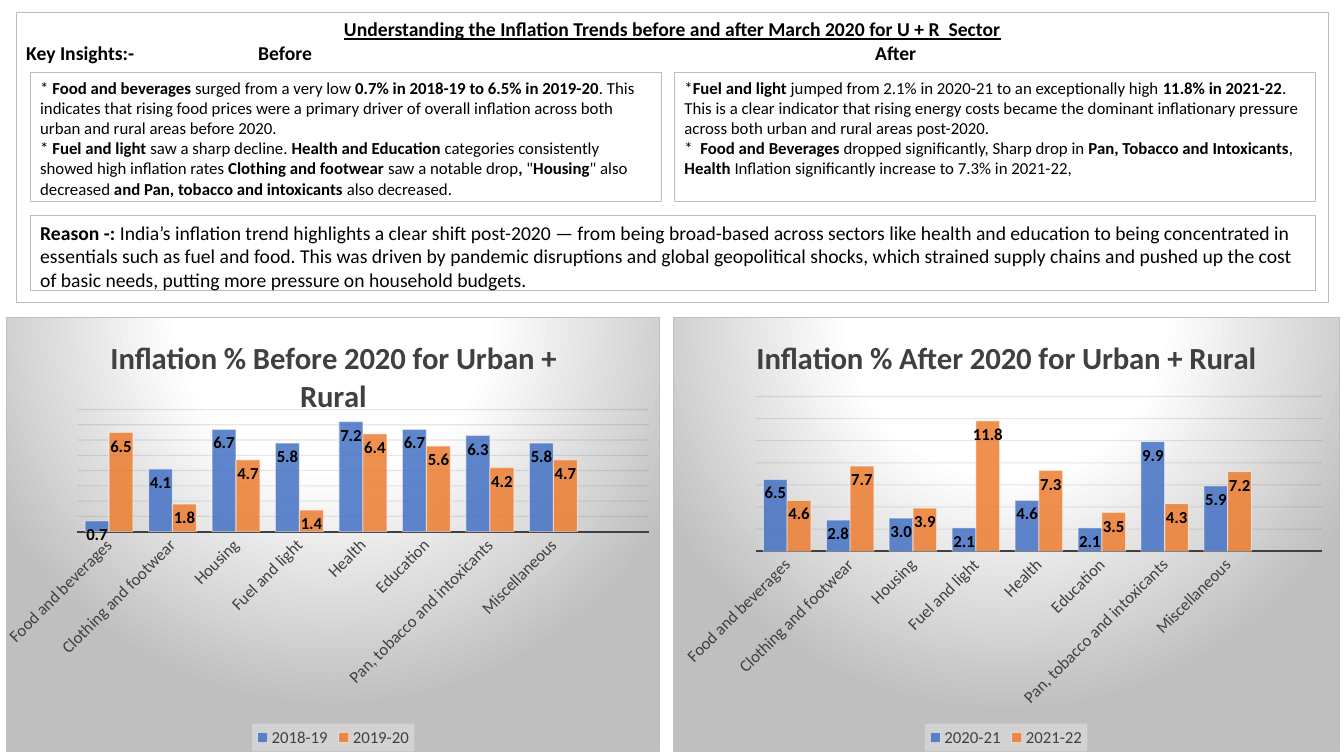
from lxml import etree
from pptx import Presentation
from pptx.chart.data import CategoryChartData
from pptx.dml.color import RGBColor
from pptx.enum.chart import XL_CHART_TYPE as CT, XL_LABEL_POSITION as LabelPos
from pptx.enum.chart import XL_LEGEND_POSITION as LegendPos, XL_TICK_MARK as Tick
from pptx.enum.shapes import MSO_SHAPE as Shape
from pptx.enum.text import MSO_ANCHOR as Anchor, MSO_AUTO_SIZE as AutoSize, PP_ALIGN as Align
from pptx.oxml import parse_xml
from pptx.oxml.ns import qn, nsdecls
from pptx.util import Inches, Pt

FONT = "Calibri"
COLORS = {"text": "000000", "white": "FFFFFF", "border": "BDBDBD", "dark": "404040",
          "grid": "0D0D0D", "first": "4472C4", "second": "ED7D31", "shade": "BFBFBF",
          "legend": "F2F2F2"}

# Content: text between bars is bold
TITLE = "Understanding the Inflation Trends before and after March 2020 for U + R  Sector"
LABELS = "Key Insights:-\tBefore\tAfter"
LABEL_TABS = (2.3, 8.42)
FRAME = (0.16, 0.12, 13.02, 2.88)
BOXES = [
    ((0.3, 0.72, 6.26, 1.28), 12, [
        "* |Food and beverages| surged from a very low |0.7% in 2018-19 to 6.5% in 2019-20|. "
        "This indicates that rising food prices were a primary driver of overall inflation "
        "across both urban and rural areas before 2020.",
        "* |Fuel and light |saw a sharp decline. |Health and Education |categories consistently "
        "showed high inflation rates |Clothing and footwear |saw a notable drop|, |\"|Housing|\" "
        "also decreased| and Pan, tobacco and intoxicants |also decreased."]),
    ((6.69, 0.72, 6.36, 1.28), 12, [
        "*|Fuel and light| jumped from 2.1% in 2020-21 to an exceptionally high "
        "|11.8% in 2021-22|. This is a clear indicator that rising energy costs became the "
        "dominant inflationary pressure across both urban and rural areas post-2020.",
        "*  |Food and Beverages| dropped significantly, Sharp drop in "
        "|Pan, Tobacco and Intoxicants|, |Health| Inflation significantly increase to "
        "7.3% in 2021-22,"]),
    ((0.3, 2.14, 12.75, 0.74), 14, [
        "|Reason -: |India’s inflation trend highlights a clear shift post-2020 — from being "
        "broad-based across sectors like health and education to being concentrated in "
        "essentials such as fuel and food. This was driven by pandemic disruptions and global "
        "geopolitical shocks, which strained supply chains and pushed up the cost of basic "
        "needs, putting more pressure on household budgets."]),
]
# The last category is an empty slot
CATEGORIES = ["Food and beverages", "Clothing and footwear", "Housing", "Fuel and light",
              "Health", "Education", "Pan, tobacco and intoxicants", "Miscellaneous", ""]
CHARTS = [
    {"title": "Inflation % Before 2020 for Urban + Rural", "at": (0.05, 3.14, 6.5, 4.32),
     "plot": (0.108, 0.213, 0.875, 0.281), "max": 8, "step": 1,
     "series": {"2018-19": (0.7, 4.1, 6.7, 5.8, 7.2, 6.7, 6.3, 5.8, None),
                "2019-20": (6.5, 1.8, 4.7, 1.4, 6.4, 5.6, 4.2, 4.7, None)}},
    {"title": "Inflation % After 2020 for Urban + Rural", "at": (6.67, 3.14, 6.62, 4.32),
     "plot": (0.124, 0.183, 0.85, 0.356), "max": 14, "step": 2,
     "series": {"2020-21": (6.5, 2.8, 3, 2.1, 4.6, 2.1, 9.9, 5.9, None),
                "2021-22": (4.6, 7.7, 3.9, 11.8, 7.3, 3.5, 4.3, 7.2, None)}},
]


def rgb(name):
    return RGBColor.from_string(COLORS[name])


def set_font(font, color="text", **values):
    for key, value in {"name": FONT, **values}.items():
        setattr(font, key, value)
    font.color.rgb = rgb(color)


def paint(fill, color, alpha=100):
    fill.solid()
    fill.fore_color.rgb = rgb(color)
    if alpha < 100:
        clr = next(fill._xPr.iter(qn("a:srgbClr")))
        etree.SubElement(clr, qn("a:alpha"), val=str(alpha * 1000))


def draw_line(line, color, width, alpha=100):
    line.width = Pt(width)
    paint(line.fill, color, alpha)


def style_box(sp):
    paint(sp.fill, "white")
    draw_line(sp.line, "border", 0.75)
    tf = sp.text_frame
    tf.word_wrap, tf.auto_size, tf.vertical_anchor = True, AutoSize.NONE, Anchor.TOP
    return tf


def add_title_frame(slide):
    sp = slide.shapes.title
    sp.left, sp.top, sp.width, sp.height = map(Inches, FRAME)
    tf = style_box(sp)
    tf.text = TITLE + "\n" + LABELS
    heading, labels = tf.paragraphs
    tabs = etree.SubElement(labels._p.get_or_add_pPr(), qn("a:tabLst"))
    for pos in LABEL_TABS:
        etree.SubElement(tabs, qn("a:tab"), pos=str(Inches(pos)), algn="l")
    for p, align in ((heading, Align.CENTER), (labels, Align.LEFT)):
        p.alignment, p.line_spacing = align, 1.0
        for r in p.runs:
            set_font(r.font, size=Pt(14), bold=True, underline=p is heading)


def add_box(slide, at, size, paragraphs):
    sp = slide.shapes.add_shape(Shape.RECTANGLE, *map(Inches, at))
    sp.shadow.inherit = False
    tf = style_box(sp)
    for i, text in enumerate(paragraphs):
        p = tf.add_paragraph() if i else tf.paragraphs[0]
        p.alignment = Align.LEFT
        for n, part in enumerate(text.split("|")):
            if part:
                r = p.add_run()
                r.text = part
                set_font(r.font, size=Pt(size), bold=n % 2 == 1)


def set_plot_layout(chart, plot):
    area = chart._chartSpace.find(".//" + qn("c:plotArea"))
    for old in area.findall(qn("c:layout")):
        area.remove(old)
    values = [("layoutTarget", "inner"), ("xMode", "edge"), ("yMode", "edge"),
              *zip("xywh", plot)]
    inner = "".join(f'<c:{tag} val="{val}"/>' for tag, val in values)
    area.insert(0, parse_xml(f'<c:layout {nsdecls("c")}><c:manualLayout>{inner}'
                             '</c:manualLayout></c:layout>'))


def set_background(chart):
    stops = "".join(f'<a:gs pos="{pos}000"><a:srgbClr val="{COLORS[c]}"/></a:gs>'
                    for pos, c in ((0, "white"), (39, "white"), (100, "shade")))
    chart._chartSpace.find(qn("c:chart")).addnext(parse_xml(
        f'<c:spPr {nsdecls("c", "a")}><a:gradFill><a:gsLst>{stops}</a:gsLst>'
        '<a:path path="circle"><a:fillToRect l="50000" t="-80000" r="50000" b="180000"/>'
        '</a:path></a:gradFill><a:ln w="9525"><a:solidFill>'
        f'<a:srgbClr val="{COLORS["shade"]}"/></a:solidFill></a:ln></c:spPr>'))


def add_legend(chart):
    chart.has_legend = True
    legend = chart.legend
    legend.position, legend.include_in_layout = LegendPos.BOTTOM, False
    set_font(legend.font, "dark", size=Pt(12))
    legend._element.find(qn("c:txPr")).addprevious(parse_xml(
        f'<c:spPr {nsdecls("c", "a")}><a:solidFill><a:srgbClr val="{COLORS["legend"]}">'
        '<a:alpha val="39000"/></a:srgbClr></a:solidFill></c:spPr>'))


def add_inflation_chart(slide, spec):
    data = CategoryChartData(number_format="0.0")
    data.categories = CATEGORIES
    for name, values in spec["series"].items():
        data.add_series(name, values)
    chart = slide.shapes.add_chart(CT.COLUMN_CLUSTERED, *map(Inches, spec["at"]), data).chart
    set_font(chart.font, size=Pt(10))
    set_background(chart)
    set_plot_layout(chart, spec["plot"])
    add_legend(chart)

    # Chart title
    chart.has_title = True
    tf = chart.chart_title.text_frame
    tf.text = spec["title"]
    set_font(tf.paragraphs[0].runs[0].font, "dark", size=Pt(22), bold=True)
    chart.chart_title.include_in_layout = False

    # Axes
    cat, val = chart.category_axis, chart.value_axis
    cat.major_tick_mark = cat.minor_tick_mark = Tick.NONE
    set_font(cat.tick_labels.font, "dark", size=Pt(12))
    cat._element.find(qn("c:txPr")).find(qn("a:bodyPr")).set("rot", "-2700000")
    draw_line(cat.format.line, "dark", 1.5)
    val.minimum_scale, val.maximum_scale, val.major_unit = 0, spec["max"], spec["step"]
    val.has_major_gridlines = True
    draw_line(val.major_gridlines.format.line, "grid", 0.75, 10)
    val.visible = False

    # Columns and their values
    plot = chart.plots[0]
    plot.gap_width, plot.overlap, plot.vary_by_categories = 65, 0, False
    for series, color in zip(plot.series, ("first", "second")):
        paint(series.format.fill, color, 85)
        draw_line(series.format.line, "white", 0.75, 50)
        labels = series.data_labels
        labels.show_value, labels.position = True, LabelPos.INSIDE_END
        labels.number_format, labels.number_format_is_linked = "0.0", False
        set_font(labels.font, size=Pt(12), bold=True)


def main():
    prs = Presentation()
    prs.slide_width, prs.slide_height = Inches(13.33), Inches(7.5)
    slide = prs.slides.add_slide(prs.slide_layouts[5])
    add_title_frame(slide)
    for box in BOXES:
        add_box(slide, *box)
    for spec in CHARTS:
        add_inflation_chart(slide, spec)
    prs.save("out.pptx")


if __name__ == "__main__":
    main()
